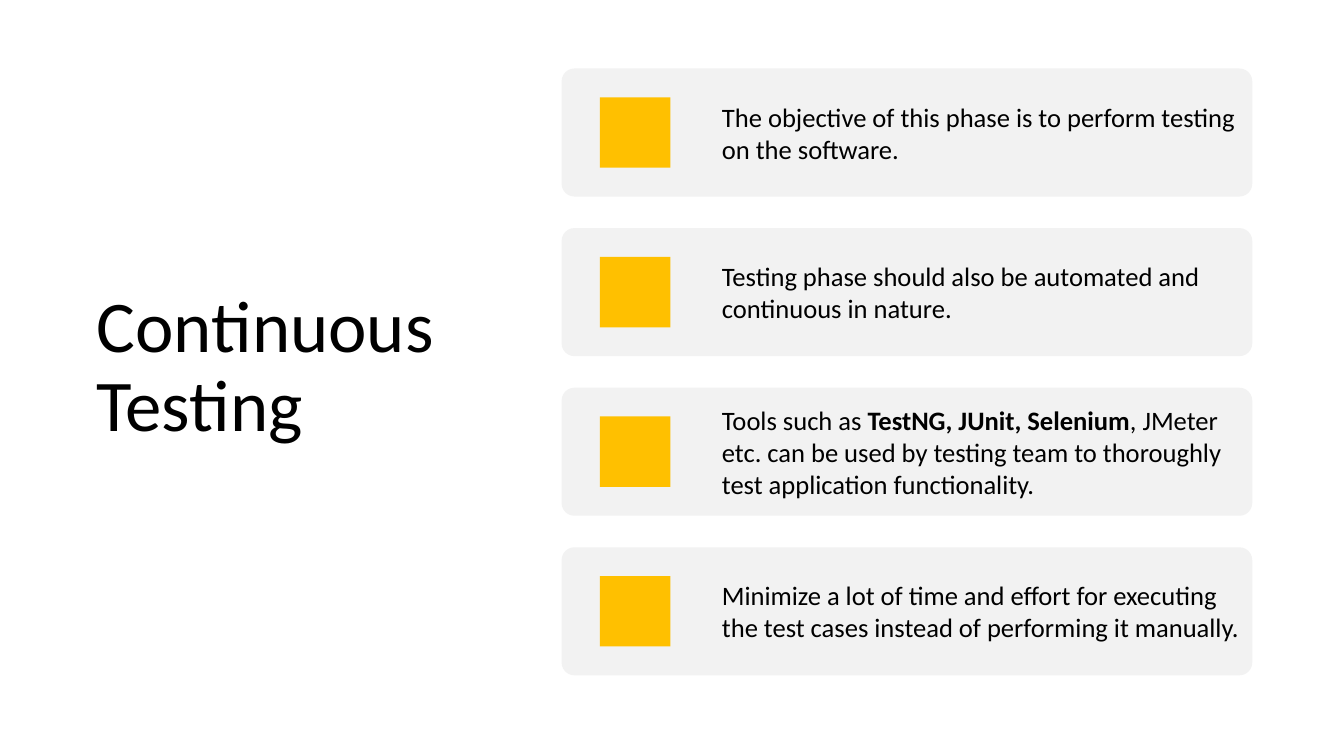
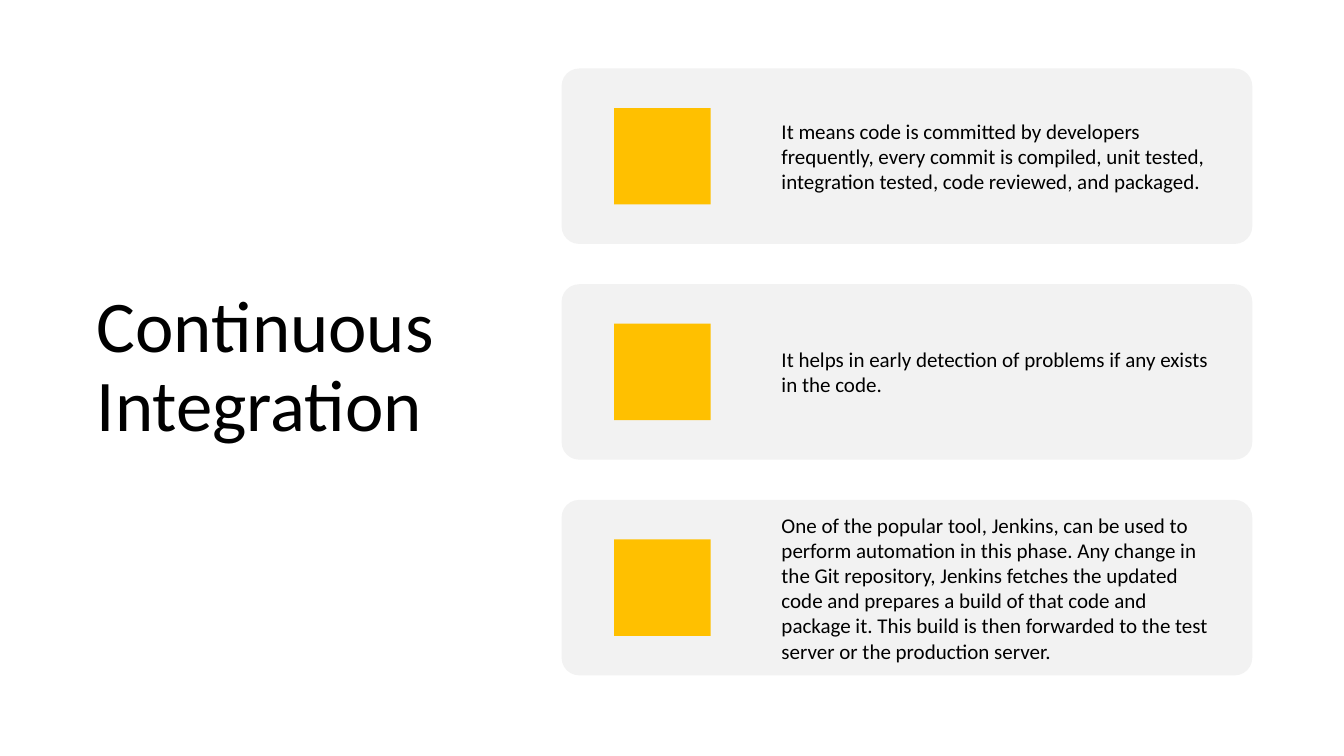
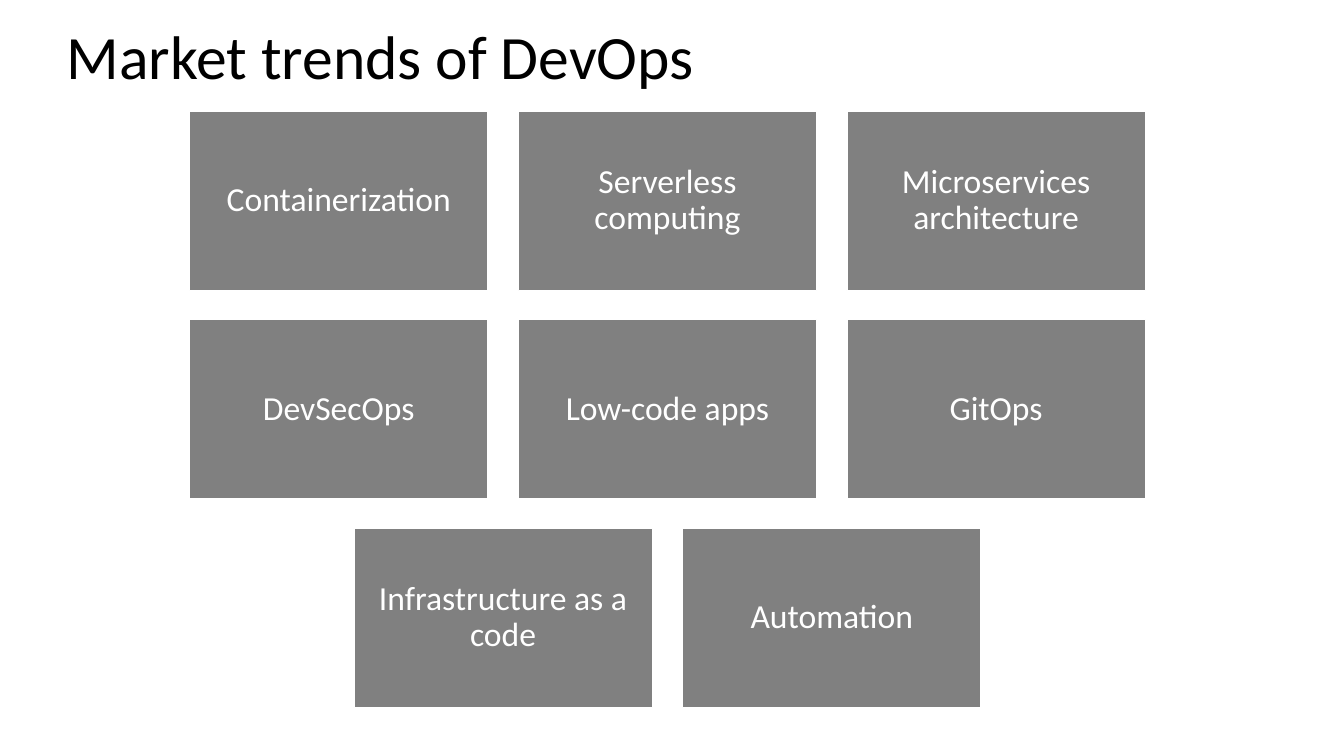
from dataclasses import dataclass

import pptx
import pptx.dml.color
import pptx.enum.shapes
import pptx.enum.text
import pptx.util

Inches = pptx.util.Inches
Shape = pptx.enum.shapes.MSO_SHAPE
Anchor = pptx.enum.text.MSO_ANCHOR
Align = pptx.enum.text.PP_ALIGN


@dataclass(frozen=True)
class Theme:
    font: str = "Calibri"
    ink: str = "000000"
    paper: str = "FFFFFF"
    card: str = "F2F2F2"
    accent: str = "FFC000"
    tile: str = "808080"
    side_title: int = 52
    top_title: int = 44
    tile_text: int = 24


class Deck:
    """Holds the theme, the presentation and the slide being built."""

    def __init__(self, theme):
        self.theme = theme
        self.presentation = pptx.Presentation()
        self.presentation.slide_width = Inches(13.33)
        self.presentation.slide_height = Inches(7.5)
        self.slide = None

    def start_slide(self, heading, box, size, anchor, line_spacing):
        title_only = self.presentation.slide_layouts[5]
        self.slide = self.presentation.slides.add_slide(title_only)
        title = self.slide.shapes.title
        title.left, title.top, title.width, title.height = map(Inches, box)
        self.set_text(title.text_frame, [heading], size, self.theme.ink,
                      anchor=anchor, line_spacing=line_spacing)

    def side_title(self, heading):
        self.start_slide(heading, (0.86, 1.5, 4.18, 4.31),
                         self.theme.side_title, Anchor.MIDDLE, 0.9)

    def top_title(self, heading):
        self.start_slide(heading, (0.56, 0.13, 12.21, 0.84),
                         self.theme.top_title, Anchor.TOP, 1.0)

    def set_text(self, frame, pieces, size, color, inset=None,
                 align=Align.LEFT, anchor=Anchor.MIDDLE, line_spacing=1.0):
        """Fill a frame with one paragraph; every second piece is bold."""
        frame.word_wrap = True
        frame.auto_size = pptx.enum.text.MSO_AUTO_SIZE.NONE
        frame.vertical_anchor = anchor
        if inset is not None:
            frame.margin_left = frame.margin_right = Inches(inset)
            frame.margin_top = frame.margin_bottom = Inches(inset)
        paragraph = frame.paragraphs[0]
        paragraph.alignment = align
        paragraph.line_spacing = line_spacing
        for index, piece in enumerate(pieces):
            run = paragraph.add_run()
            run.text = piece
            run.font.name = self.theme.font
            run.font.size = pptx.util.Pt(size)
            run.font.bold = index % 2 == 1
            run.font.color.rgb = pptx.dml.color.RGBColor.from_string(color)

    def block(self, preset, left, top, width, height, color):
        block = self.slide.shapes.add_shape(
            preset, Inches(left), Inches(top), Inches(width), Inches(height))
        block.shadow.inherit = False
        block.fill.solid()
        block.fill.fore_color.rgb = pptx.dml.color.RGBColor.from_string(color)
        block.line.fill.background()
        return block

    def card(self, pieces, top, height, text_width, size):
        """Draw a card whose inner spacing scales with its height."""
        left, width = 5.57, 6.85
        card = self.block(Shape.ROUNDED_RECTANGLE, left, top, width, height,
                          self.theme.card)
        card.adjustments[0] = 0.1
        marker = 0.55 * height
        self.block(Shape.RECTANGLE, left + 0.3 * height,
                   top + (height - marker) / 2, marker, marker,
                   self.theme.accent)
        statement = self.slide.shapes.add_textbox(
            Inches(left + 1.15 * height), Inches(top),
            Inches(text_width), Inches(height))
        self.set_text(statement.text_frame, pieces, size, self.theme.ink,
                      inset=round(0.105 * height, 2))

    def card_column(self, statements, height, text_width, size):
        """Spread the cards evenly over the height of the column."""
        top, bottom = 0.68, 6.7
        pitch = (bottom - top - height) / (len(statements) - 1)
        for index, pieces in enumerate(statements):
            self.card(pieces, top + index * pitch, height, text_width, size)

    def tile_grid(self, rows):
        """Draw rows of tiles, each row centred on the same axis."""
        center, top, width, height = 6.62, 1.1, 2.96, 1.78
        column_pitch, row_pitch = 3.26, 2.07
        for row, labels in enumerate(rows):
            left = center - ((len(labels) - 1) * column_pitch + width) / 2
            for column, label in enumerate(labels):
                tile = self.block(Shape.RECTANGLE, left + column * column_pitch,
                                  top + row * row_pitch, width, height,
                                  self.theme.tile)
                tile.line.color.rgb = pptx.dml.color.RGBColor.from_string(
                    self.theme.paper)
                tile.line.width = pptx.util.Pt(1)
                self.set_text(tile.text_frame, [label], self.theme.tile_text,
                              self.theme.paper, inset=0.1, align=Align.CENTER,
                              line_spacing=0.9)


TESTING = [
    ["The objective of this phase is to perform testing on the software."],
    ["Testing phase should also be automated and continuous in nature."],
    ["Tools such as ", "TestNG, JUnit, Selenium",
     ", JMeter etc. can be used by testing team to thoroughly test "
     "application functionality."],
    ["Minimize a lot of time and effort for executing the test cases "
     "instead of performing it manually."],
]

INTEGRATION = [
    ["It means code is committed by developers frequently, every commit is "
     "compiled, unit tested, integration tested, code reviewed, and packaged."],
    ["It helps in early detection of problems if any exists in the code."],
    ["One of the popular tool, Jenkins, can be used to perform automation in "
     "this phase. Any change in the Git repository, Jenkins fetches the "
     "updated code and prepares a build of that code and package it. This "
     "build is then forwarded to the test server or the production server."],
]

TRENDS = [
    ["Containerization", "Serverless computing", "Microservices architecture"],
    ["DevSecOps", "Low-code apps", "GitOps"],
    ["Infrastructure as a code", "Automation"],
]


def main():
    deck = Deck(Theme())

    deck.side_title("Continuous Testing")
    deck.card_column(TESTING, height=1.27, text_width=5.39, size=19)

    deck.side_title("Continuous Integration")
    deck.card_column(INTEGRATION, height=1.74, text_width=4.71, size=15)

    deck.top_title("Market trends of DevOps")
    deck.tile_grid(TRENDS)

    deck.presentation.save("out.pptx")


if __name__ == "__main__":
    main()
